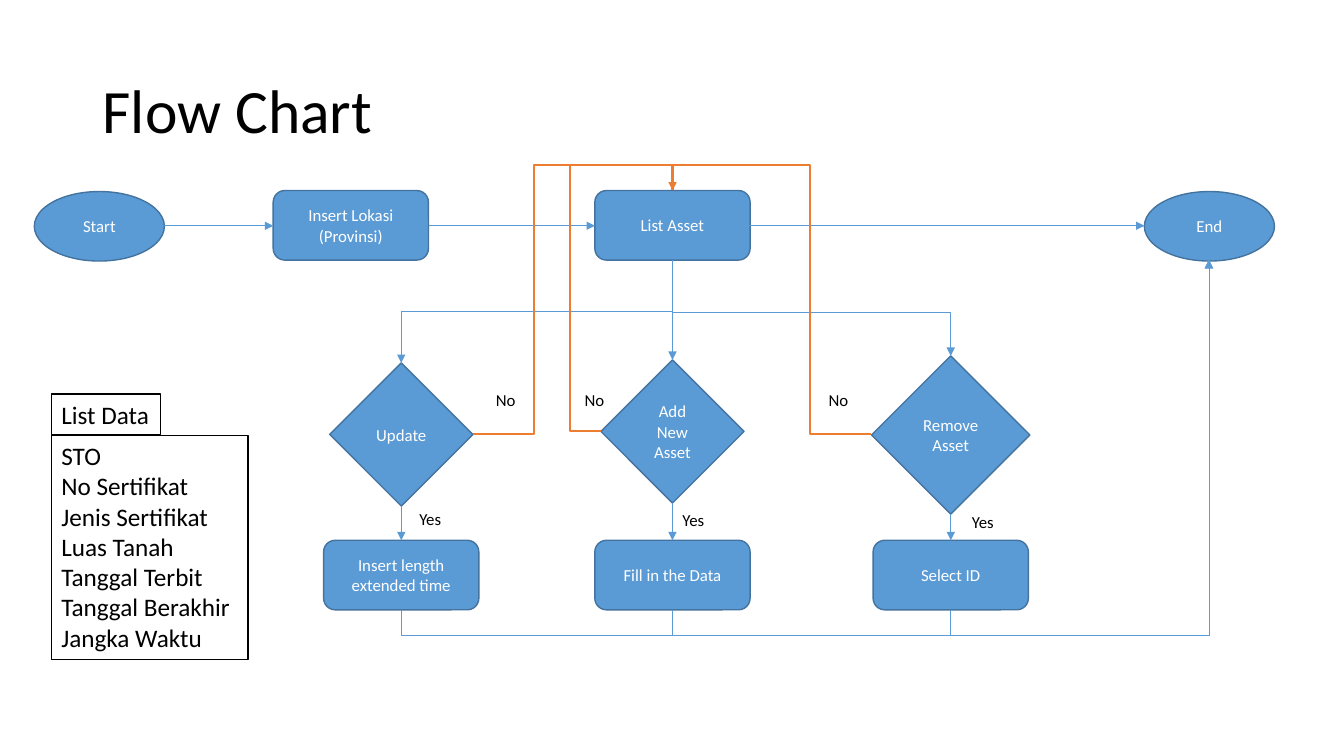
import lxml.etree
import pptx
import pptx.dml.color
import pptx.enum.shapes
import pptx.enum.text
import pptx.oxml.ns
import pptx.util

Inches = pptx.util.Inches
MSO_SHAPE = pptx.enum.shapes.MSO_SHAPE
PP_ALIGN = pptx.enum.text.PP_ALIGN
MSO_ANCHOR = pptx.enum.text.MSO_ANCHOR
color = pptx.dml.color.RGBColor.from_string
qn = pptx.oxml.ns.qn

BLUE, DARK_BLUE, ORANGE = "5B9BD5", "43739E", "ED7D31"
WHITE, BLACK = "FFFFFF", "000000"

presentation = pptx.Presentation()
presentation.slide_width = Inches(13.33)
presentation.slide_height = Inches(7.5)
slide = presentation.slides.add_slide(presentation.slide_layouts[6])


def add_text(text, left, top, width, height, kind=None, fill=BLUE, line=DARK_BLUE,
             size=12, font_color=BLACK, align=PP_ALIGN.LEFT, anchor=MSO_ANCHOR.TOP,
             wrap=True, spacing=1.0):
    """Add text in a preset shape, or in a plain text box when kind is None."""
    frame = [Inches(value) for value in (left, top, width, height)]
    if kind is None:
        shape = slide.shapes.add_textbox(*frame)
    else:
        shape = slide.shapes.add_shape(kind, *frame)
        shape.shadow.inherit = False
        shape.fill.solid()
        shape.fill.fore_color.rgb = color(fill)
        shape.line.color.rgb = color(line)
        shape.line.width = pptx.util.Pt(1)
    text_frame = shape.text_frame
    text_frame.text = text
    text_frame.word_wrap = wrap
    text_frame.vertical_anchor = anchor
    for paragraph in text_frame.paragraphs:
        paragraph.alignment = align
        paragraph.line_spacing = spacing
        paragraph.font.name = "Calibri"
        paragraph.font.size = pptx.util.Pt(size)
        paragraph.font.color.rgb = color(font_color)


def add_line(begin, end, preset="line", rotation=0, flips="", adjust=(),
             line=BLUE, weight=0.5, arrow=True):
    """Add a straight or bent connector whose frame spans begin to end."""
    width, height = abs(end[0] - begin[0]), abs(end[1] - begin[1])
    if rotation in (90, 270):
        width, height = height, width
    left = (begin[0] + end[0] - width) / 2
    top = (begin[1] + end[1] - height) / 2
    connector = slide.shapes.add_connector(
        pptx.enum.shapes.MSO_CONNECTOR.STRAIGHT, Inches(left), Inches(top),
        Inches(left + width), Inches(top + height))
    connector.line.color.rgb = color(line)
    connector.line.width = pptx.util.Pt(weight)
    properties = connector._element.spPr
    transform = properties.find(qn("a:xfrm"))
    if rotation:
        transform.set("rot", str(rotation * 60000))
    for flip in flips:
        transform.set("flip" + flip, "1")
    geometry = properties.find(qn("a:prstGeom"))
    geometry.set("prst", preset)
    guides = geometry.find(qn("a:avLst"))
    for number, value in enumerate(adjust, 1):
        lxml.etree.SubElement(guides, qn("a:gd"), name=f"adj{number}",
                              fmla=f"val {round(value * 100000)}")
    if arrow:
        lxml.etree.SubElement(properties.find(qn("a:ln")), qn("a:tailEnd"),
                              type="triangle")
    lxml.etree.SubElement(properties, qn("a:effectLst"))


add_text("Flow Chart", 0.92, 0.4, 11.5, 1.45, size=44, anchor=MSO_ANCHOR.MIDDLE,
         spacing=0.9)

step = dict(font_color=WHITE, align=PP_ALIGN.CENTER, anchor=MSO_ANCHOR.MIDDLE)
box_width, box_height = 1.54, 0.69
top_row, bottom_row = 1.89, 5.36
top_middle, top_bottom = 2.24, top_row + box_height
list_x, end_x = 6.67, 11.99

# Top row: from Start to End
for text, left in (("Start", 0.34), ("End", 11.35)):
    add_text(text, left, 1.9, 1.29, box_height, MSO_SHAPE.OVAL, **step)
for text, left in (("Insert Lokasi\n(Provinsi)", 2.71), ("List Asset", 5.9)):
    add_text(text, left, top_row, box_width, box_height,
             MSO_SHAPE.ROUNDED_RECTANGLE, **step)
for begin_x, finish_x in ((1.63, 2.71), (4.25, 5.9), (7.43, 11.35)):
    add_line((begin_x, top_middle), (finish_x, top_middle))

# Branches: decision, action, centre x, decision top and size, Yes and No positions
branches = (
    ("Update", "Insert length extended time", 3.98, 3.6, 1.42, (4.06, 5.0), 4.82),
    ("Add New Asset", "Fill in the Data", list_x, 3.57, 1.42, (6.67, 5.01), 5.7),
    ("Remove Asset", "Select ID", 9.43, 3.53, 1.57, (9.54, 5.03), 8.12),
)
for decision, action, x, top, size, yes, no_left in branches:
    add_text(decision, x - size / 2, top, size, size, MSO_SHAPE.DIAMOND, **step)
    add_text(action, x - box_width / 2, bottom_row, box_width, box_height,
             MSO_SHAPE.ROUNDED_RECTANGLE, **step)
    add_line((x, top + size), (x, bottom_row))
    add_line((x, bottom_row + box_height), (end_x, top_bottom), "bentConnector3",
             90, "HV", (-0.072,))
    add_text("Yes", *yes, 0.42, 0.3, wrap=False)
    add_text("No", no_left, 3.82, 0.4, 0.3, wrap=False)

# From List Asset down to the decisions
list_bottom = (list_x, top_bottom)
add_line(list_bottom, (list_x, 3.57))
add_line(list_bottom, (3.98, 3.6), "bentConnector3", 90, adjust=(0.5,))
add_line(list_bottom, (9.43, 3.53), "bentConnector3", 270, "H", (0.546,))

# "No" answers back to List Asset
for begin, rotation, flips, adjust, arrow in (
        ((5.96, 4.28), 180, "H", (-0.433, 1.105), False),
        ((4.69, 4.31), 0, "V", (0.306, 1.103), False),
        ((8.64, 4.31), 180, "", (0.306, 1.103), True)):
    add_line(begin, (list_x, top_row), "bentConnector4", rotation, flips, adjust,
             line=ORANGE, weight=1.5, arrow=arrow)

# List of data fields
fields = ("STO", "No Sertifikat", "Jenis Sertifikat", "Luas Tanah",
          "Tanggal Terbit", "Tanggal Berakhir", "Jangka Waktu")
panel = dict(kind=MSO_SHAPE.RECTANGLE, fill=WHITE, line=BLACK, size=18)
add_text("\n".join(fields), 0.51, 4.32, 1.95, 2.22, **panel)
add_text("List Data", 0.51, 3.91, 1.08, 0.4, wrap=False, **panel)

presentation.save("out.pptx")
